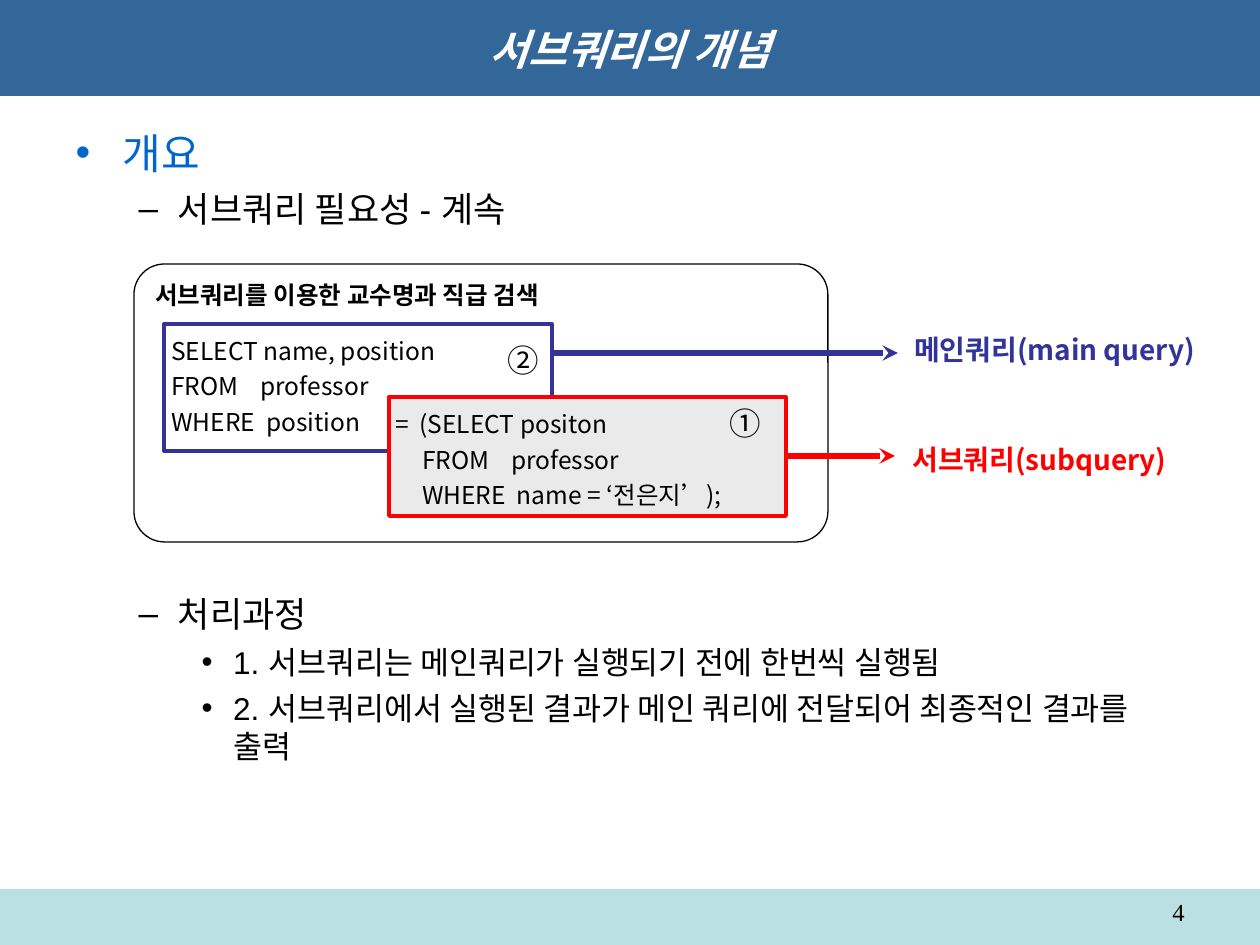
from lxml.etree import SubElement
from pptx import Presentation
from pptx.dml.color import RGBColor
from pptx.enum.shapes import MSO_CONNECTOR as Connector, MSO_SHAPE as Shape
from pptx.enum.text import MSO_ANCHOR as Anchor, MSO_AUTO_SIZE as AutoSize, PP_ALIGN as Align
from pptx.oxml.ns import qn
from pptx.util import Emu, Pt

SCALE = 914400 / 126
KOREAN = "Noto Sans CJK KR"
COLORS = {
    "white": "FFFFFF", "black": "000000", "title": "336699", "footer": "BBE0E3",
    "heading": "0066CC", "main": "333399", "sub": "FF0000", "shade": "EAEAEA",
}


def px(value):
    return Emu(round(value * SCALE))


def color(name):
    return RGBColor.from_string(COLORS[name])


def apply(target, values):
    for name, value in values.items():
        setattr(target, name, value)


def place(item, box):
    apply(item, dict(zip(("left", "top", "width", "height"), map(px, box))))


def paint(item, fill=None, line=None, weight=1):
    if fill:
        item.fill.solid()
        item.fill.fore_color.rgb = color(fill)
    else:
        item.fill.background()
    if line:
        item.line.color.rgb = color(line)
        item.line.width = Pt(weight)
    else:
        item.line.fill.background()


def add_box(page, kind, box, **style):
    item = page.shapes.add_shape(kind, *map(px, box))
    item.shadow.inherit = False
    paint(item, **style)
    return item


def write(para, text, size, font=KOREAN, ink="black", spacing=None, before=0,
          indent=0, align=None, **style):
    span = para.add_run()
    span.text = text
    apply(span.font, {"name": font, "size": Pt(size), "bold": False, **style})
    span.font.color.rgb = color(ink)
    if font == KOREAN:
        SubElement(span.font._element, qn("a:ea"), typeface=font)
    apply(para, {"line_spacing": Pt(spacing or round(size * 1.22, 1)),
                 "space_before": Pt(before), "alignment": align})
    if indent:
        para._p.get_or_add_pPr().set("marL", str(px(indent)))


def write_lines(frame, lines):
    for index, (text, style) in enumerate(lines):
        para = frame.add_paragraph() if index else frame.paragraphs[0]
        write(para, text, **{"align": Align.LEFT, **style})


def add_label(page, box, text, **style):
    frame = page.shapes.add_textbox(*map(px, box)).text_frame
    frame.word_wrap = True
    write_lines(frame, [(text, style)])


def add_arrow(page, start, end, ink):
    arrow = page.shapes.add_connector(Connector.STRAIGHT, *map(px, start + end))
    arrow.line.color.rgb = color(ink)
    arrow.line.width = Pt(3)
    SubElement(arrow.line._get_or_add_ln(), qn("a:tailEnd"), type="stealth")
    SubElement(arrow._element.spPr, qn("a:effectLst"))


def fill_title(page):
    title = page.shapes.title
    place(title, (0, 0, 1260, 96))
    paint(title, fill="title")
    apply(title.text_frame, {"vertical_anchor": Anchor.MIDDLE, "auto_size": AutoSize.NONE})
    write(title.text_frame.paragraphs[0], "서브쿼리의 개념", 24, "DejaVu Sans", "white",
          align=Align.CENTER, bold=True, italic=True)


def fill_body(page):
    body = page.placeholders[1]
    place(body, (63, 120, 1134, 750))
    frame = body.text_frame
    frame.auto_size = AutoSize.NONE
    items = [
        (0, "개요", 24, 6, "heading"),
        (1, "서브쿼리 필요성 - 계속", 20, 5, "black"),
        (1, "처리과정", 20, 207, "black"),
        (2, "1. 서브쿼리는 메인쿼리가 실행되기 전에 한번씩 실행됨", 18, 4.5, "black"),
        (2, "2. 서브쿼리에서 실행된 결과가 메인 쿼리에 전달되어 최종적인 결과를 출력", 18, 4.5, "black"),
    ]
    for index, (level, text, size, before, ink) in enumerate(items):
        para = frame.add_paragraph() if index else frame.paragraphs[0]
        para.level = level
        write(para, text, size, "Arial", ink, before=before)


def add_queries(page):
    code = {"size": 14, "spacing": 20.25}
    panel = add_box(page, Shape.ROUNDED_RECTANGLE, (134, 264, 694, 278),
                    fill="white", line="black", weight=0.75)
    panel.adjustments[0] = 0.11
    panel.text_frame.vertical_anchor = Anchor.TOP
    main_code = {**code, "indent": 16}
    write_lines(panel.text_frame, [
        ("서브쿼리를 이용한 교수명과 직급 검색", {"size": 14, "bold": True}),
        ("SELECT name, position", {**main_code, "before": 12}),
        ("FROM    professor", main_code),
        ("WHERE  position", main_code),
    ])

    add_box(page, Shape.RECTANGLE, (164, 324, 388, 127), line="main", weight=2.25)
    subquery = add_box(page, Shape.RECTANGLE, (389, 397, 397, 119),
                       fill="shade", line="sub", weight=2.25)
    apply(subquery.text_frame, {
        "vertical_anchor": Anchor.MIDDLE, "margin_left": px(6), "margin_right": px(6),
        "margin_top": px(5), "margin_bottom": px(5),
    })
    sub_code = {**code, "indent": 27}
    write_lines(subquery.text_frame, [
        ("=  (SELECT positon", code),
        ("FROM    professor", sub_code),
        ("WHERE  name = ‘전은지’);", sub_code),
    ])


def main():
    deck = Presentation()
    apply(deck, {"slide_width": px(1260), "slide_height": px(945)})
    page = deck.slides.add_slide(deck.slide_layouts[1])
    add_box(page, Shape.RECTANGLE, (0, 889, 1260, 56), fill="footer")
    fill_title(page)
    fill_body(page)
    add_queries(page)

    add_label(page, (717, 397, 54, 50), "①", size=18)
    add_label(page, (495, 334, 54, 50), "②", size=18)
    add_arrow(page, (786, 456), (895, 456), "sub")
    add_arrow(page, (551, 353), (898, 353), "main")
    add_label(page, (902, 326, 328, 47), "메인쿼리(main query)", size=16, ink="main", bold=True)
    add_label(page, (900, 436, 297, 47), "서브쿼리(subquery)", size=16, ink="sub", bold=True)
    add_label(page, (903, 890, 294, 37), "4", size=14, font="Times New Roman", align=Align.RIGHT)
    deck.save("out.pptx")


if __name__ == "__main__":
    main()
